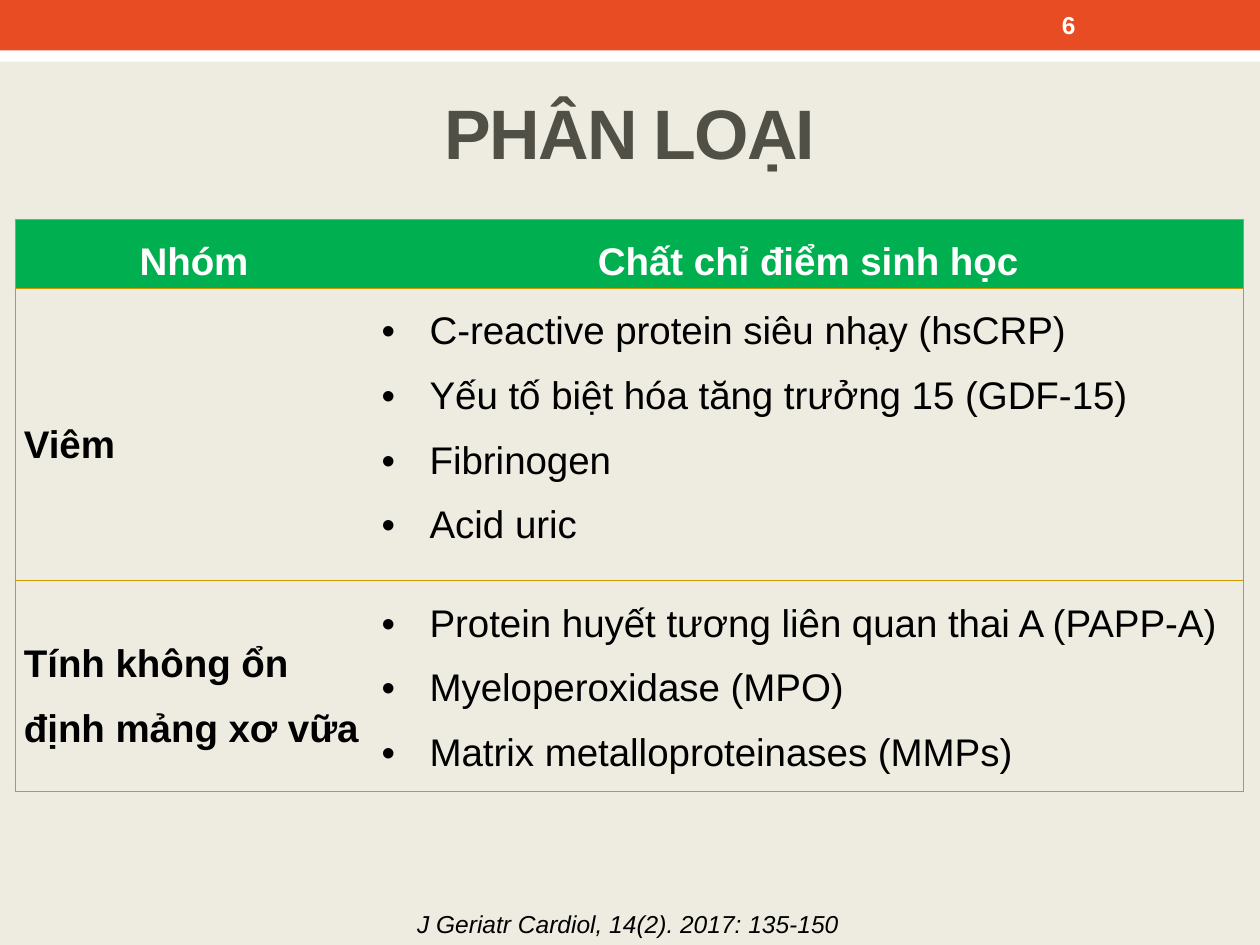
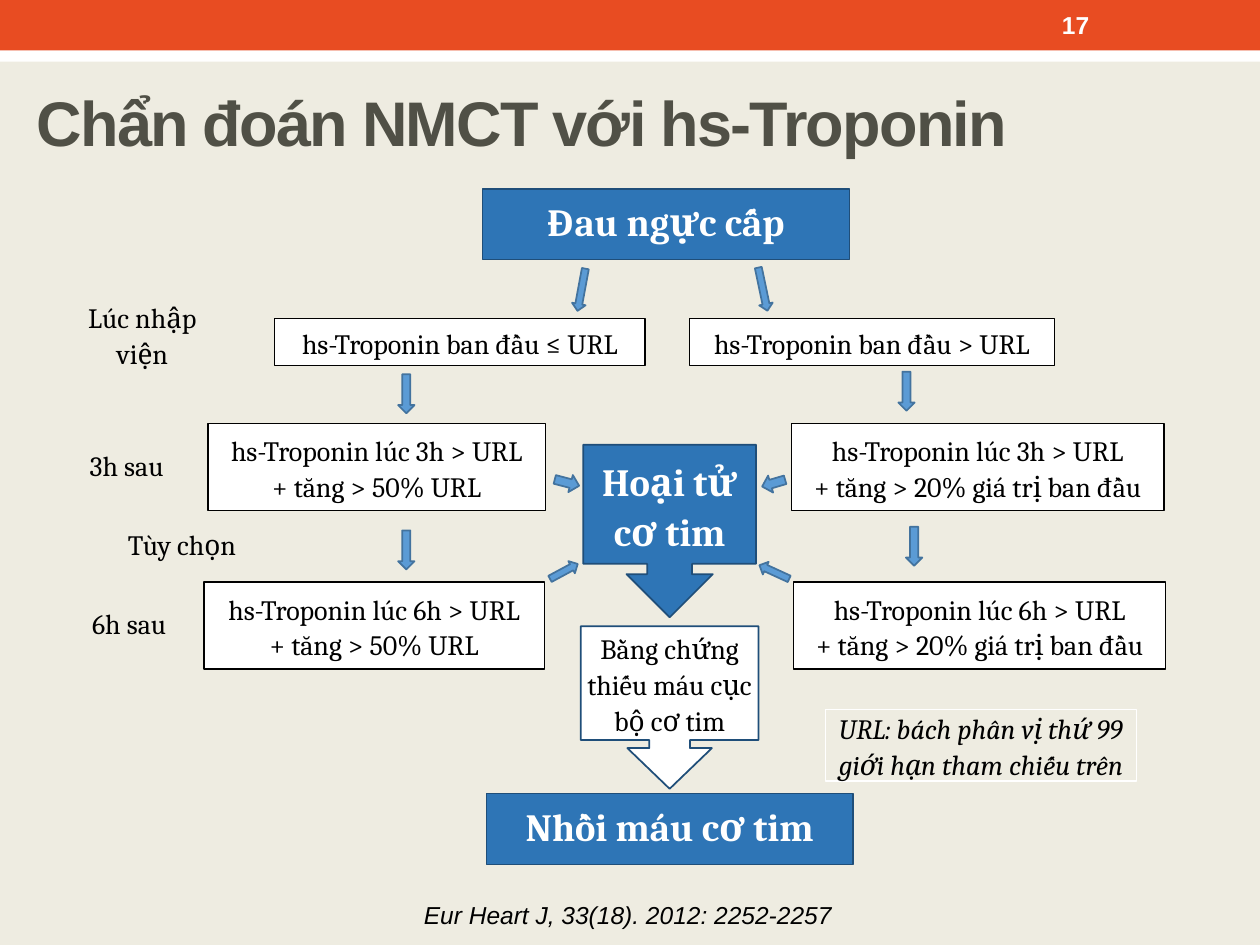
from lxml import etree
from pptx import Presentation
from pptx.dml.color import RGBColor
from pptx.enum.shapes import MSO_SHAPE
from pptx.enum.text import MSO_ANCHOR, PP_ALIGN
from pptx.oxml.ns import qn
from pptx.util import Emu, Pt

RECT, DOWN, CALLOUT = MSO_SHAPE.RECTANGLE, MSO_SHAPE.DOWN_ARROW, MSO_SHAPE.DOWN_ARROW_CALLOUT
TOP, MIDDLE = MSO_ANCHOR.TOP, MSO_ANCHOR.MIDDLE
LEFT, CENTER, JUSTIFY = PP_ALIGN.LEFT, PP_ALIGN.CENTER, PP_ALIGN.JUSTIFY

BEIGE = RGBColor(0xEE, 0xEC, 0xE1)
WHITE = RGBColor(0xFF, 0xFF, 0xFF)
BLACK = RGBColor(0, 0, 0)
ORANGE = RGBColor(0xE8, 0x4C, 0x22)
OLIVE = RGBColor(0x50, 0x50, 0x46)
GREEN = RGBColor(0, 0xB0, 0x50)
GOLD = RGBColor(0xCC, 0x99, 0)
BLUE = RGBColor(0x2E, 0x75, 0xB6)
NAVY = RGBColor(0x1F, 0x4E, 0x79)
SKY = RGBColor(0x5B, 0x9B, 0xD5)
STEEL = RGBColor(0x43, 0x73, 0x9E)

EMU_PER_PX = 9144
NO_STYLE = "{2D5ABB26-0587-4C30-8999-92F81FD0307C}"
BANDS = [((0, 24, 1000, 25), WHITE), ((0, 0, 1000, 40), ORANGE)]

HEADERS = ["Nhóm", "Chất chỉ điểm sinh học"]
GROUPS = [
    ("Viêm", JUSTIFY, ["C-reactive protein siêu nhạy (hsCRP)",
                       "Yếu tố biệt hóa tăng trưởng 15 (GDF-15)",
                       "Fibrinogen", "Acid uric"]),
    ("Tính không ổn định mảng xơ vữa", LEFT, ["Protein huyết tương liên quan thai A (PAPP-A)",
                                              "Myeloperoxidase (MPO)",
                                              "Matrix metalloproteinases (MMPs)"]),
]
COL_WIDTHS = [284, 691]
ROW_HEIGHTS = [51, 232, 167]

STAGES = [
    ("Lúc nhập viện", (61, 237, 104, 57)),
    ("3h sau", (50, 340, 101, 57)),
    ("Tùy chọn", (94, 410, 101, 42)),
    ("6h sau", (52, 465, 101, 57)),
]
BANNERS = [("Đau ngực cấp", (383, 150, 291, 56)), ("Nhồi máu cơ tim", (386, 630, 291, 56))]
TESTS = [
    (["hs-Troponin ban đầu ≤ URL"], (218, 253, 294, 37)),
    (["hs-Troponin ban đầu > URL"], (547, 253, 290, 37)),
    (["hs-Troponin lúc 3h > URL", "+ tăng > 50% URL"], (165, 336, 268, 69)),
    (["hs-Troponin lúc 3h > URL", "+ tăng > 20% giá trị ban đầu"], (628, 336, 296, 69)),
    (["hs-Troponin lúc 6h > URL", "+ tăng > 50% URL"], (162, 462, 270, 69)),
    (["hs-Troponin lúc 6h > URL", "+ tăng > 20% giá trị ban đầu"], (630, 462, 295, 69)),
]
NECROSIS = ("Hoại tử cơ tim", (463, 353, 137, 137), (0.26, 0.25, 0.25, 0.69))
ISCHEMIA = ("Bằng chứng thiếu máu cục bộ cơ tim", (461, 497, 141, 129), (0.25, 0.26, 0.25, 0.7))
URL_NOTE = ("URL: bách phân vị thứ 99 giới hạn tham chiếu trên", (655, 563, 247, 57))
ARROWS = [
    ((456, 213, 11, 34), 10.5), ((600, 212, 11, 35), 348.1),
    ((316, 297, 13, 31), 0), ((713, 295, 13, 31), 0),
    ((316, 421, 13, 31), 0), ((719, 418, 13, 31), 0),
    ((443, 373, 14, 20), 284.7), ((607, 374, 14, 19), 73.6),
    ((442, 441, 11, 25), 241.7), ((609, 441, 11, 26), 114.7),
]


def px(*values):
    return [Emu(v * EMU_PER_PX) for v in values]


def write(tf, lines, size, color=BLACK, font="Arial", bold=False, italic=False,
          align=CENTER, spacing=1.07, after=0):
    for i, line in enumerate(lines):
        p = tf.paragraphs[0] if i == 0 else tf.add_paragraph()
        p.text = line
        p.alignment, p.line_spacing, p.space_after = align, spacing, Pt(after)
        p.space_before = Pt(0)
        f = p.font
        f.name, f.size, f.bold, f.italic = font, Pt(size), bold, italic
        f.color.rgb = color


def frame(sp, anchor, inset):
    tf = sp.text_frame
    tf.word_wrap = True
    tf.vertical_anchor = anchor
    if not inset:
        tf.margin_left = tf.margin_top = tf.margin_right = tf.margin_bottom = 0
    return tf


def text_box(s, box, lines, size, anchor=MIDDLE, inset=True, **style):
    sp = s.shapes.add_textbox(*px(*box))
    write(frame(sp, anchor, inset), lines, size, **style)


def shape(s, kind, box, fill=None, line=None, width=0.75):
    sp = s.shapes.add_shape(kind, *px(*box))
    sp.shadow.inherit = False
    if fill is None:
        sp.fill.background()
    else:
        sp.fill.solid()
        sp.fill.fore_color.rgb = fill
    if line is None:
        sp.line.fill.background()
    else:
        sp.line.color.rgb = line
        sp.line.width = Pt(width)
    return sp


def start_slide(prs, number, title, box, size, align, source, source_top):
    s = prs.slides.add_slide(prs.slide_layouts[5])
    for band, color in BANDS:
        shape(s, RECT, band, color)
    sp = s.shapes.title
    sp.left, sp.top, sp.width, sp.height = px(*box)
    write(frame(sp, MIDDLE, True), [title], size, OLIVE, bold=True, align=align, spacing=1.0)
    sp.text_frame.paragraphs[0].runs[0]._r.get_or_add_rPr().set("spc", "-100")
    text_box(s, (833, 2, 117, 36), [number], 14, color=WHITE, bold=True, align=LEFT, spacing=1.0)
    text_box(s, (47, source_top, 903, 33), [source], 14, anchor=TOP, italic=True)
    return s


def border(cell, sides):
    tcPr = cell._tc.get_or_add_tcPr()
    for side in "LRTB":
        ln = etree.SubElement(tcPr, qn("a:ln" + side), w=str(Pt(0.75)))
        if side in sides:
            fill = etree.SubElement(ln, qn("a:solidFill"))
            etree.SubElement(fill, qn("a:srgbClr"), val=str(GOLD))
        else:
            etree.SubElement(ln, qn("a:noFill"))


def bullet(p):
    pPr = p._p.get_or_add_pPr()
    indent = px(38)[0]
    pPr.set("marL", str(indent))
    pPr.set("indent", str(-indent))
    font = etree.Element(qn("a:buFont"), typeface="Arial")
    char = etree.Element(qn("a:buChar"), char="•")
    at = pPr.index(pPr.find(qn("a:defRPr")))
    pPr.insert(at, font)
    pPr.insert(at + 1, char)


def marker_table(s):
    box = (12, 174, sum(COL_WIDTHS), sum(ROW_HEIGHTS))
    table = s.shapes.add_table(len(ROW_HEIGHTS), len(COL_WIDTHS), *px(*box)).table
    table.first_row = table.horz_banding = False
    table._tbl.tblPr.find(qn("a:tableStyleId")).text = NO_STYLE
    for col, width in zip(table.columns, px(*COL_WIDTHS)):
        col.width = width
    for row, height in zip(table.rows, px(*ROW_HEIGHTS)):
        row.height = height
    for r, row in enumerate(table.rows):
        for c, cell in enumerate(row.cells):
            border(cell, "TB" + "LR"[c])
            cell.margin_left = cell.margin_right = px(7)[0]
            cell.margin_top = cell.margin_bottom = 0
            if r == 0:
                cell.fill.solid()
                cell.fill.fore_color.rgb = GREEN
                write(cell.text_frame, [HEADERS[c]], 22, WHITE, bold=True, spacing=1.5)
                continue
            cell.fill.background()
            group, align, markers = GROUPS[r - 1]
            if c == 0:
                cell.vertical_anchor = MIDDLE
                write(cell.text_frame, [group], 22, bold=True, align=align, spacing=1.5)
            else:
                write(cell.text_frame, markers, 22, align=JUSTIFY, spacing=1.5)
                for p in cell.text_frame.paragraphs:
                    bullet(p)


def callout(s, text, box, adjustments, fill, inset, size, **style):
    sp = shape(s, CALLOUT, box, fill, NAVY, 1)
    for i, value in enumerate(adjustments):
        sp.adjustments[i] = value
    write(frame(sp, MIDDLE, inset), [text], size, font="Cambria", **style)


def troponin_flow(s):
    for text, box in STAGES:
        text_box(s, box, [text], 16, inset=False, font="Cambria")
    for text, box in BANNERS:
        sp = shape(s, RECT, box, BLUE, NAVY)
        write(frame(sp, TOP, True), [text], 22, WHITE, "Cambria", bold=True, after=8)
    for lines, box in TESTS:
        sp = shape(s, RECT, box, WHITE, BLACK)
        after = 8 if len(lines) == 1 else 0
        write(frame(sp, MIDDLE, False), lines, 16, font="Cambria", after=after)
    callout(s, *NECROSIS, BLUE, True, 22, color=WHITE, bold=True)
    callout(s, *ISCHEMIA, WHITE, False, 16)
    note, box = URL_NOTE
    sp = shape(s, RECT, box, line=WHITE)
    write(frame(sp, MIDDLE, False), [note], 16, font="Cambria", italic=True)
    for box, angle in ARROWS:
        shape(s, DOWN, box, SKY, STEEL, 1).rotation = angle


def main():
    prs = Presentation()
    prs.slide_width, prs.slide_height = px(1000, 750)
    fill = prs.slide_master.background.fill
    fill.solid()
    fill.fore_color.rgb = BEIGE
    marker_table(start_slide(prs, "6", "PHÂN LOẠI", (50, 50, 900, 108), 40, CENTER,
                             "J Geriatr Cardiol, 14(2). 2017: 135-150", 715))
    troponin_flow(start_slide(prs, "17", "Chẩn đoán NMCT với hs-Troponin", (19, 42, 896, 108), 36, LEFT,
                              "Eur Heart J, 33(18). 2012: 2252-2257", 708))
    prs.save("out.pptx")


if __name__ == "__main__":
    main()
